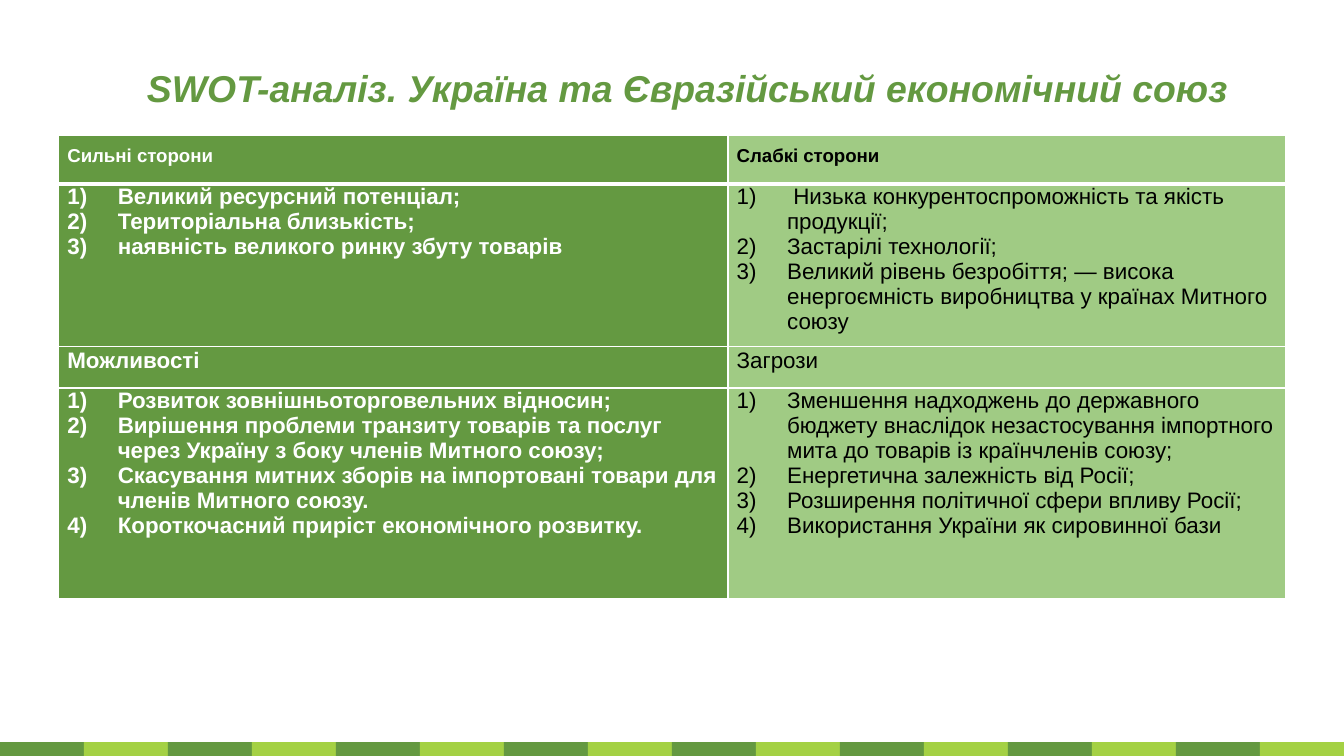
from lxml import etree
from pptx import Presentation
from pptx.dml.color import RGBColor
from pptx.enum import shapes, text
from pptx.oxml import ns
from pptx.util import Pt

GREEN, LIME, PALE = "649941", "A4D144", "A0CB84"
WHITE, BLACK = "FFFFFF", "000000"
INDENT = Pt(27)


def paint(color_format, color):
    color_format.rgb = RGBColor.from_string(color)


def write(frame, lines, size, color, bold=False, italic=False,
          spacing=1.0, align=None, numbered=False):
    """Fill a text frame with one paragraph per line."""
    for i, line in enumerate(lines):
        paragraph = frame.paragraphs[0] if i == 0 else frame.add_paragraph()
        paragraph.line_spacing = spacing
        paragraph.alignment = align
        run = paragraph.add_run()
        run.text = line
        run.font.name = "Arial"
        run.font.size = Pt(size)
        run.font.bold = bold
        run.font.italic = italic
        paint(run.font.color, color)
        if numbered:
            props = paragraph._p.get_or_add_pPr()
            props.set("marL", str(INDENT))
            props.set("indent", str(-INDENT))
            etree.SubElement(props, ns.qn("a:buFont"), typeface="+mj-lt")
            etree.SubElement(props, ns.qn("a:buAutoNum"), type="arabicParenR")


deck = Presentation()
deck.slide_width, deck.slide_height = Pt(720), Pt(405)
slide = deck.slides.add_slide(deck.slide_layouts[5])

# Striped band along the bottom edge
for i in range(16):
    stripe = slide.shapes.add_shape(
        shapes.MSO_SHAPE.RECTANGLE, Pt(45 * i), Pt(397.6), Pt(45), Pt(7.4))
    stripe.shadow.inherit = False
    stripe.fill.solid()
    paint(stripe.fill.fore_color, LIME if i % 2 else GREEN)
    stripe.line.fill.background()

title = slide.shapes.title
title.left, title.top, title.width, title.height = Pt(8.5), Pt(26.8), Pt(720), Pt(40)
title.text_frame.vertical_anchor = text.MSO_ANCHOR.MIDDLE
write(title.text_frame, ["SWOT-аналіз. Україна та Євразійський економічний союз"],
      size=20, color=GREEN, bold=True, italic=True, align=text.PP_ALIGN.CENTER)

heading = dict(size=10, spacing=1.5)
subheading = dict(size=12, spacing=1.07)
items = dict(size=12, numbered=True)
swot = [
    (26.4, heading, ["Сильні сторони"], ["Слабкі сторони"]),
    (87, items,
     ["Великий ресурсний потенціал;",
      "Територіальна близькість;",
      "наявність великого ринку збуту товарів"],
     [" Низька конкурентоспроможність та якість продукції;",
      "Застарілі технології;",
      "Великий рівень безробіття; — висока енергоємність виробництва "
      "у країнах Митного союзу"]),
    (22.2, subheading, ["Можливості"], ["Загрози"]),
    (112.8, items,
     ["Розвиток зовнішньоторговельних відносин;",
      "Вирішення проблеми транзиту товарів та послуг через Україну "
      "з боку членів Митного союзу;",
      "Скасування митних зборів на імпортовані товари для членів Митного союзу.",
      "Короткочасний приріст економічного розвитку."],
     ["Зменшення надходжень до державного бюджету внаслідок незастосування "
      "імпортного мита до товарів із країнчленів союзу;",
      "Енергетична залежність від Росії;",
      "Розширення політичної сфери впливу Росії;",
      "Використання України як сировинної бази"]),
]
columns = [(358.6, GREEN, WHITE), (298.8, PALE, BLACK)]

table = slide.shapes.add_table(
    len(swot), len(columns), Pt(31.3), Pt(72.2),
    Pt(sum(column[0] for column in columns)), Pt(sum(row[0] for row in swot))).table
for c, (width, fill, ink) in enumerate(columns):
    table.columns[c].width = Pt(width)
    for r, (height, style, *sides) in enumerate(swot):
        table.rows[r].height = Pt(height)
        cell = table.cell(r, c)
        cell.margin_left = cell.margin_right = Pt(4.8)
        cell.margin_top = cell.margin_bottom = 0
        write(cell.text_frame, sides[c], color=ink, bold=c == 0 or r == 0, **style)

        # Borders must come before the fill in the cell properties
        props = cell._tc.get_or_add_tcPr()
        for side in "LRTB":
            thick = (r, side) in [(0, "B"), (1, "T")]
            border = etree.SubElement(props, ns.qn(f"a:ln{side}"),
                                      w=str(Pt(3 if thick else 1)))
            solid = etree.SubElement(border, ns.qn("a:solidFill"))
            etree.SubElement(solid, ns.qn("a:srgbClr"), val=WHITE)
        cell.fill.solid()
        paint(cell.fill.fore_color, fill)

deck.save("out.pptx")
